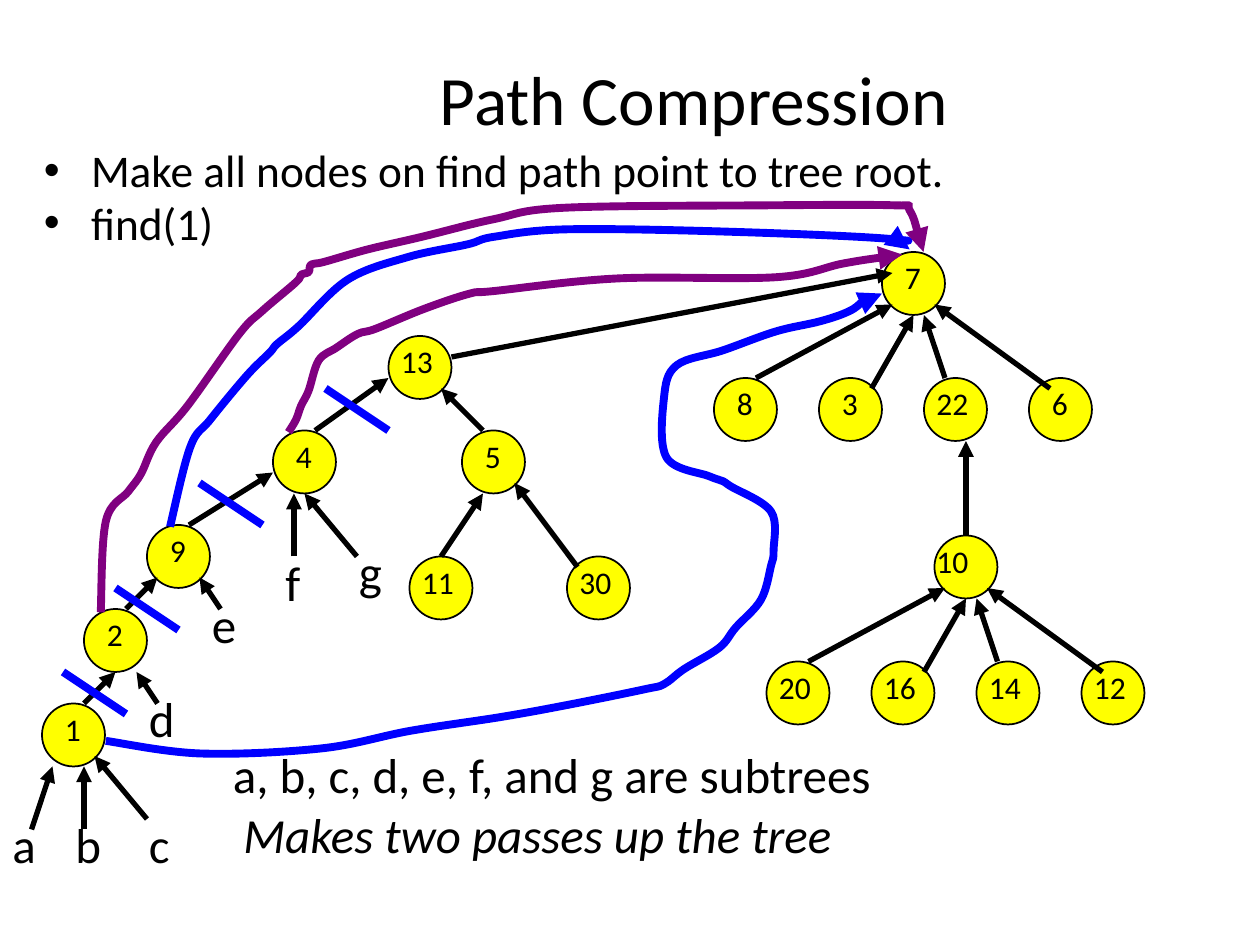
from dataclasses import dataclass

from lxml import etree
from pptx import Presentation
from pptx.dml.color import RGBColor
from pptx.enum.shapes import MSO_CONNECTOR, MSO_SHAPE
from pptx.enum.text import MSO_ANCHOR, PP_ALIGN
from pptx.oxml.ns import qn
from pptx.util import Cm, Pt

STRAIGHT = MSO_CONNECTOR.STRAIGHT
OVAL = MSO_SHAPE.OVAL
MIDDLE = MSO_ANCHOR.MIDDLE
CENTER = PP_ALIGN.CENTER

BLACK, YELLOW, BLUE, PURPLE = "000000", "FFFF00", "0000FF", "800080"
FONT = "Calibri"
INCH = 2.54
STEP = INCH / 12  # the trees lie on a grid of twelve steps to the inch
NODE_SIZE = 6

Point = tuple[float, float]


@dataclass
class Node:
    """A tree node; label_shift moves its number from the circle's left edge."""
    value: str
    left: int
    top: int
    label_shift: int = 0


@dataclass
class Subtree:
    name: str
    left: int
    top: int
    start: Point
    end: Point


@dataclass
class Link:
    """A curved pointer to the root, through points in inches."""
    color: str
    points: list[Point]


def fan(values: list[str], shift: int, left: int, top: int) -> list[Node]:
    return [Node(value, left + 10 * i, top, shift) for i, value in enumerate(values)]


NODES = [
    Node("7", 84, 24, 1), *fan(["8", "3"], 1, 68, 36), Node("22", 88, 36), Node("6", 98, 36, 1),
    Node("10", 89, 51, -1), *fan(["20", "16", "14", "12"], 0, 73, 63),
    Node("13", 37, 32), Node("4", 26, 41, 1), Node("5", 44, 41, 1),
    Node("11", 39, 53), Node("30", 54, 53),
    Node("9", 14, 50, 1), Node("2", 8, 58, 1), Node("1", 4, 67, 1),
]
FAN_EDGES = [((72, 36), (85, 29)), ((83, 37), (87, 30)),
             ((90, 36), (88, 30)), ((100, 37), (89, 29))]
FAN_SHIFT = (5, 27)  # from the children of 7 to the children of 10
EDGES = [
    ((30, 41), (37, 36)), ((18, 50), (26, 45)), ((46, 41), (42, 37)), ((12, 58), (15, 55)),
    ((42, 53), (46, 47)), ((55, 54), (49, 46)), ((8, 67), (11, 64)), ((92, 51), (92, 42)),
    ((43, 34), (85, 26)), *FAN_EDGES,
    *[tuple((x + FAN_SHIFT[0], y + FAN_SHIFT[1]) for x, y in edge) for edge in FAN_EDGES],
]
SUBTREES = [
    Subtree("a", 0, 77, (3, 79), (5, 73)), Subtree("b", 6, 77, (8, 79), (8, 73)),
    Subtree("c", 13, 77, (14, 78), (9, 72)), Subtree("d", 13, 65, (15, 67), (13, 64)),
    Subtree("e", 19, 56, (21, 58), (19, 55)), Subtree("f", 26, 52, (28, 53), (28, 47)),
    Subtree("g", 33, 51, (34, 53), (29, 47)),
]
LINKS = [
    Link(PURPLE, [(2.29, 3.43), (2.35, 3.33), (2.39, 3.22), (2.45, 3.1), (2.53, 2.86),
                  (2.67, 2.76), (2.84, 2.65), (2.98, 2.61), (3.37, 2.45), (3.73, 2.33),
                  (3.92, 2.31), (4.9, 2.21), (6.16, 2.2), (6.7, 2.09), (7.16, 2.02)]),
    Link(BLUE, [(1.35, 4.18), (1.51, 3.55), (1.67, 3.33), (1.96, 2.98), (2.14, 2.8),
                (2.2, 2.73), (2.37, 2.59), (2.76, 2.22), (3.24, 2.04), (3.71, 1.94),
                (3.92, 1.88), (4.51, 1.82), (5.8, 1.84), (7.1, 1.9), (7.22, 1.98)]),
    Link(PURPLE, [(0.8, 4.86), (0.84, 4.14), (1.02, 3.9), (1.12, 3.76), (1.24, 3.51),
                  (1.49, 3.22), (1.9, 2.65), (2.08, 2.47), (2.35, 2.24), (2.39, 2.18),
                  (2.45, 2.16), (2.47, 2.1), (2.57, 2.08), (2.92, 1.98), (3.35, 1.88),
                  (3.92, 1.74), (4.47, 1.65), (6.08, 1.63), (7.1, 1.63), (7.22, 1.67),
                  (7.33, 2)]),
    Link(BLUE, [(0.84, 5.88), (1.59, 5.98), (2.55, 5.94), (3.26, 5.8), (3.98, 5.69),
                (4.53, 5.59), (5.12, 5.47), (5.27, 5.43), (5.43, 5.31), (5.71, 5.14),
                (5.84, 4.98), (6.04, 4.76), (6.12, 4.49), (6.14, 4.37), (6.12, 4.06),
                (5.8, 3.86), (5.74, 3.82), (5.63, 3.78), (5.29, 3.63), (5.27, 3.16),
                (5.37, 2.9), (5.74, 2.78), (6.16, 2.63), (6.51, 2.55), (6.74, 2.47),
                (6.88, 2.37), (7, 2.33)]),
]


def rgb(color: str) -> RGBColor:
    return RGBColor.from_string(color)


def grid(*steps: float) -> list[Cm]:
    return [Cm(step * STEP) for step in steps]


def style_paragraph(para, size: float, italic: bool = False) -> None:
    for span in para.runs:
        span.font.name, span.font.size = FONT, Pt(size)
        span.font.italic = italic
        span.font.color.rgb = rgb(BLACK)


def add_text(page, text: str, place: tuple, size: float, italic: bool = False):
    box = page.shapes.add_textbox(*grid(*place))
    box.text_frame.word_wrap = True
    box.text_frame.text = text
    for para in box.text_frame.paragraphs:
        style_paragraph(para, size, italic)
    return box


def style_line(line, color: str, width: float, arrow: bool) -> None:
    line.color.rgb = rgb(color)
    line.width = Pt(width)
    if arrow:
        etree.SubElement(line._get_or_add_ln(), qn("a:tailEnd"), type="triangle")


def add_line(page, start: Point, end: Point, color: str, width: float, arrow: bool) -> None:
    connector = page.shapes.add_connector(STRAIGHT, *grid(*start, *end))
    style_line(connector.line, color, width, arrow)
    etree.SubElement(connector.element.spPr, qn("a:effectLst"))


def add_node(page, node: Node) -> None:
    circle = page.shapes.add_shape(OVAL, *grid(node.left, node.top, NODE_SIZE, NODE_SIZE))
    circle.shadow.inherit = False
    circle.fill.solid()
    circle.fill.fore_color.rgb = rgb(YELLOW)
    style_line(circle.line, BLACK, 1, False)
    add_text(page, node.value, (node.left + node.label_shift, node.top, 7, NODE_SIZE), 18)


def round_corners(shape) -> None:
    """Turn the straight segments of a freeform into a smooth Catmull-Rom curve."""
    corners = list(shape.element.iter(qn("a:pt")))
    spots = [(int(pt.get("x")), int(pt.get("y"))) for pt in corners]
    padded = [spots[0], *spots, spots[-1]]
    for i, segment in enumerate(list(shape.element.iter(qn("a:lnTo")))):
        before, start, end, after = padded[i:i + 4]
        leave = [s + (e - b) / 6 for b, s, e in zip(before, start, end)]
        arrive = [e - (a - s) / 6 for s, e, a in zip(start, end, after)]
        curve = etree.Element(qn("a:cubicBezTo"))
        for x, y in (leave, arrive, end):
            etree.SubElement(curve, qn("a:pt"), x=str(round(x)), y=str(round(y)))
        segment.getparent().replace(segment, curve)


def add_link(page, link: Link) -> None:
    spots = [(Cm(x * INCH), Cm(y * INCH)) for x, y in link.points]
    builder = page.shapes.build_freeform(*spots[0])
    builder.add_line_segments(spots[1:], close=False)
    shape = builder.convert_to_shape()
    shape.shadow.inherit = False
    shape.fill.background()
    style_line(shape.line, link.color, 4.5, True)
    round_corners(shape)


def add_title(page) -> None:
    title = page.shapes.title
    title.left, title.top, title.width, title.height = grid(15, 6, 102.2, 6.7)
    title.text_frame.text = "Path Compression"
    title.text_frame.vertical_anchor = MIDDLE
    title.text_frame.paragraphs[0].alignment = CENTER
    style_paragraph(title.text_frame.paragraphs[0], 39.6)


def add_bullets(page) -> None:
    text = "Make all nodes on find path point to tree root.\nfind(1)"
    box = add_text(page, text, (3, 14, 117, 11), 25.9)
    indent = Cm(0.95)
    for i, para in enumerate(box.text_frame.paragraphs):
        para.line_spacing = 0.8
        para.space_before = Pt(5 if i else 0)
        properties = para._p.get_or_add_pPr()
        properties.set("marL", str(indent))
        properties.set("indent", str(-indent))
        etree.SubElement(properties, qn("a:buFont"), typeface="Arial")
        etree.SubElement(properties, qn("a:buChar"), char="•")


def main() -> None:
    deck = Presentation()
    deck.slide_width, deck.slide_height = grid(120, 90)
    page = deck.slides.add_slide(deck.slide_layouts[5])
    add_title(page)
    add_bullets(page)
    for node in NODES:
        add_node(page, node)
    for start, end in EDGES:
        add_line(page, start, end, BLACK, 3, True)
    for subtree in SUBTREES:
        add_text(page, subtree.name, (subtree.left, subtree.top, 7, 6.8), 28)
        add_line(page, subtree.start, subtree.end, BLACK, 3, True)
    caption = add_text(page, "a, b, c, d, e, f, and g are subtrees", (21, 71, 82, 14.6), 28)
    caption.text_frame.paragraphs[0].line_spacing = 0.9
    for link in LINKS:
        add_link(page, link)
    for x, y in [(31, 37), (19, 46), (11, 56), (6, 64)]:
        add_line(page, (x, y), (x + 6, y + 4), BLUE, 4.5, False)
    add_text(page, "Makes two passes up the tree", (22, 76, 94, 6.8), 28, italic=True)
    deck.save("out.pptx")


if __name__ == "__main__":
    main()
